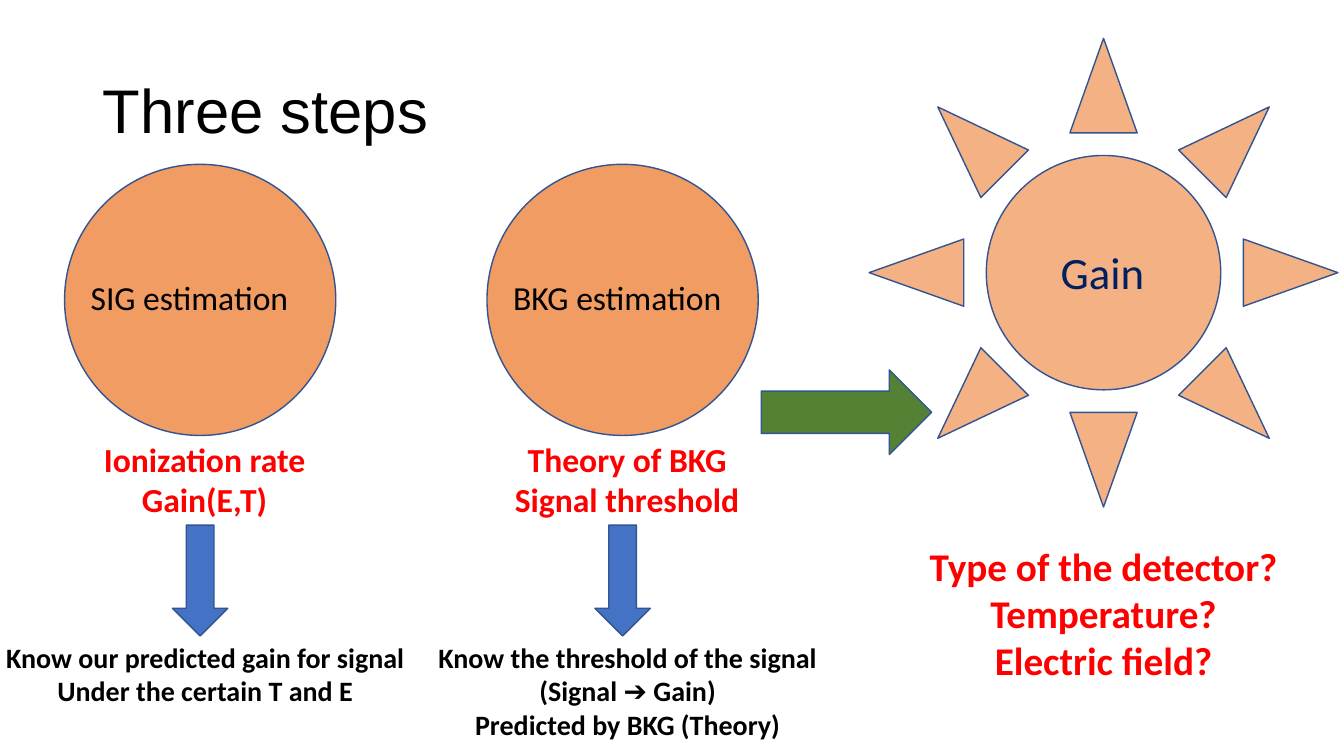
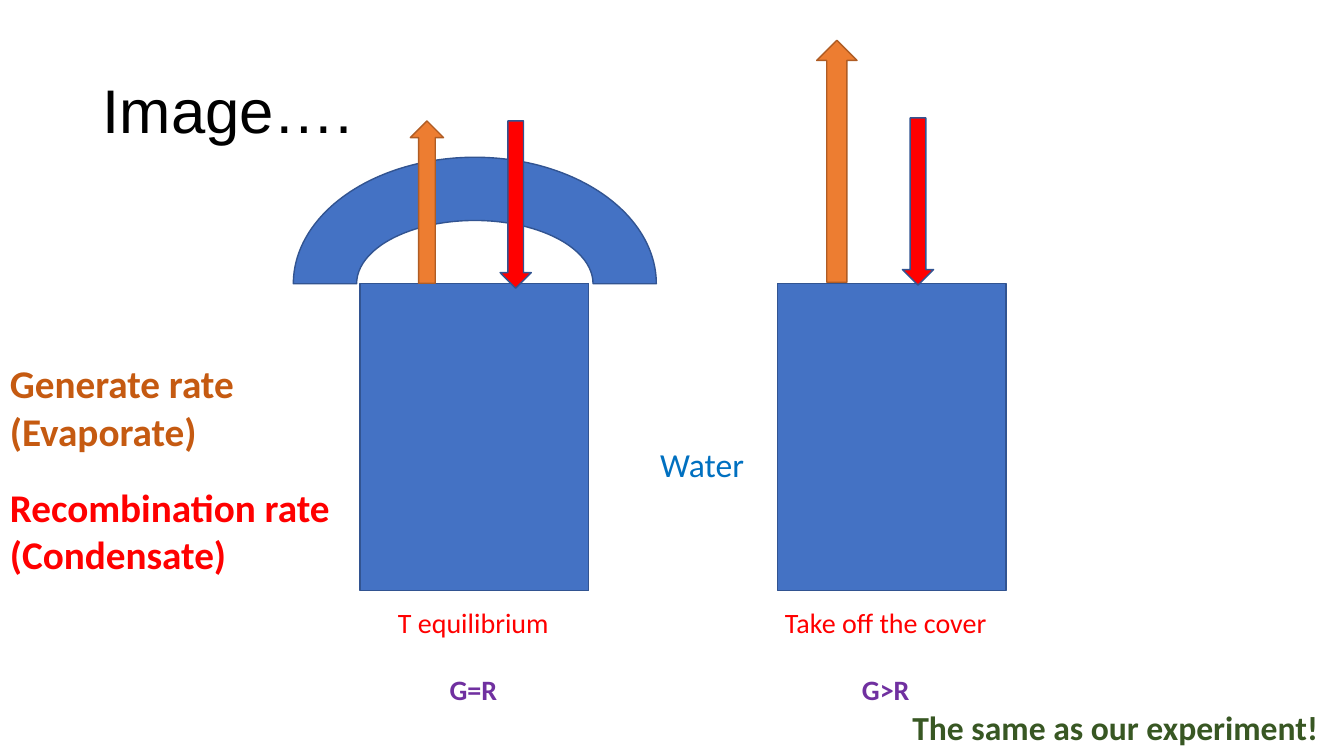
from lxml import etree
from pptx import Presentation
from pptx.dml.color import RGBColor as RGB
from pptx.enum.shapes import MSO_SHAPE as Kind
from pptx.enum.text import MSO_ANCHOR as Anchor, MSO_AUTO_SIZE as Fit, PP_ALIGN as Align
from pptx.oxml.ns import qn
from pptx.util import Inches, Pt

BLACK = RGB(0x00, 0x00, 0x00)
RED = RGB(0xFF, 0x00, 0x00)
BLUE = RGB(0x44, 0x72, 0xC4)
EDGE = RGB(0x32, 0x54, 0x91)
ORANGE = RGB(0xED, 0x7D, 0x31)
RUST = RGB(0xAF, 0x5C, 0x24)
BROWN = RGB(0xC5, 0x5A, 0x11)
PEACH = RGB(0xF4, 0xB1, 0x83)
GREEN = RGB(0x54, 0x82, 0x35)
FOREST = RGB(0x38, 0x57, 0x23)
NAVY = RGB(0x00, 0x20, 0x60)
AQUA = RGB(0x00, 0x70, 0xC0)
PURPLE = RGB(0x70, 0x30, 0xA0)


def write(frame, text, size=24, color=BLACK, bold=False, font="Calibri",
          align=Align.LEFT, anchor=Anchor.TOP, line=1.0):
    frame.word_wrap = True
    frame.auto_size = Fit.NONE
    frame.vertical_anchor = anchor
    frame.text = text
    for para in frame.paragraphs:
        para.alignment = align
        para.line_spacing = line
        para.font.size = Pt(size)
        para.font.name = font
        para.font.bold = bold
        para.font.color.rgb = color
    return frame


def draw(slide, kind, box, fill, edge=EDGE, alpha=None):
    shape = slide.shapes.add_shape(kind, *map(Inches, box))
    shape.shadow.inherit = False
    shape.fill.solid()
    shape.fill.fore_color.rgb = fill
    shape.line.color.rgb = edge
    shape.line.width = Pt(1)
    if alpha:
        tone = shape.fill._xPr.find(".//" + qn("a:srgbClr"))
        etree.SubElement(tone, qn("a:alpha")).set("val", str(alpha * 1000))


deck = Presentation()
deck.slide_width, deck.slide_height = Inches(13.33), Inches(7.5)

slides = []
for name in ("Three steps", "Image…."):
    slide = deck.slides.add_slide(deck.slide_layouts[5])
    title = slide.shapes.title
    title.left, title.top = Inches(0.92), Inches(0.4)
    title.width, title.height = Inches(11.5), Inches(1.45)
    write(title.text_frame, name, size=44, font="Arial", anchor=Anchor.MIDDLE, line=0.9)
    slides.append(slide)
steps, image = slides

STEPS = [
    ("SIG estimation", "Ionization rate\nGain(E,T)",
     "Know our predicted gain for signal\nUnder the certain T and E"),
    ("BKG estimation", "Theory of BKG\nSignal threshold",
     "Know the threshold of the signal\n(Signal ➔ Gain)\nPredicted by BKG (Theory)"),
]
labels = []
for col, (label, cause, result) in enumerate(STEPS):
    left = 0.64 + 4.19 * col
    draw(steps, Kind.OVAL, (left, 1.63, 2.69, 2.69), ORANGE, alpha=76)
    draw(steps, Kind.DOWN_ARROW, (left + 1.07, 5.21, 0.55, 1.1), BLUE)
    labels += [
        (steps, label, (left + 0.16, 2.7, 2.92, 0.5), {}),
        (steps, cause, (left - 0.39, 4.3, 3.56, 0.91),
         dict(color=RED, bold=True, align=Align.CENTER)),
        (steps, result, (left - 0.7, 6.3, 4.19, 1.11),
         dict(size=20, bold=True, align=Align.CENTER)),
    ]
draw(steps, Kind.RIGHT_ARROW, (7.55, 3.67, 1.69, 0.84), GREEN)
draw(steps, Kind.SUN, (8.62, 0.38, 4.65, 4.65), PEACH)

for left in (3.57, 7.71):
    draw(image, Kind.RECTANGLE, (left, 2.81, 2.27, 3.05), BLUE)
draw(image, Kind.BLOCK_ARC, (2.91, 1.56, 3.6, 2.51), BLUE)
for box in ((4.07, 1.2, 0.33, 1.61), (8.1, 0.4, 0.4, 2.4)):
    draw(image, Kind.UP_ARROW, box, ORANGE, RUST)
for left, top in ((4.96, 1.2), (8.95, 1.17)):
    draw(image, Kind.DOWN_ARROW, (left, top, 0.31, 1.66), RED)

labels += [
    (steps, "Gain", (10.42, 2.38, 2.92, 0.64), dict(size=32, color=NAVY)),
    (steps, "Type of the detector?\nTemperature?\nElectric field?", (8.93, 5.33, 4.03, 1.51),
     dict(size=28, color=RED, bold=True, align=Align.CENTER)),
    (image, "Generate rate\n(Evaporate)", (0, 3.52, 3.57, 1.04),
     dict(size=28, color=BROWN, bold=True)),
    (image, "Recombination rate\n(Condensate)", (0, 4.75, 3.57, 1.04),
     dict(size=28, color=RED, bold=True)),
    (image, "Water", (6.45, 4.35, 2.33, 0.5), dict(color=AQUA)),
    (image, "The same as our experiment!", (8.95, 6.96, 4.38, 0.5),
     dict(color=FOREST, bold=True)),
]
for slide, text, box, style in labels:
    write(slide.shapes.add_textbox(*map(Inches, box)).text_frame, text, **style)

for left, text in ((3.56, "T equilibrium\nG=R"), (7.65, "Take off the cover\nG>R")):
    box = image.shapes.add_textbox(Inches(left), Inches(5.96), Inches(2.27), Inches(1.11))
    frame = write(box.text_frame, text, size=20, color=RED, align=Align.CENTER)
    rate = frame.paragraphs[1]
    rate.space_before = Pt(24)
    rate.font.bold = True
    rate.font.color.rgb = PURPLE

deck.save("out.pptx")
